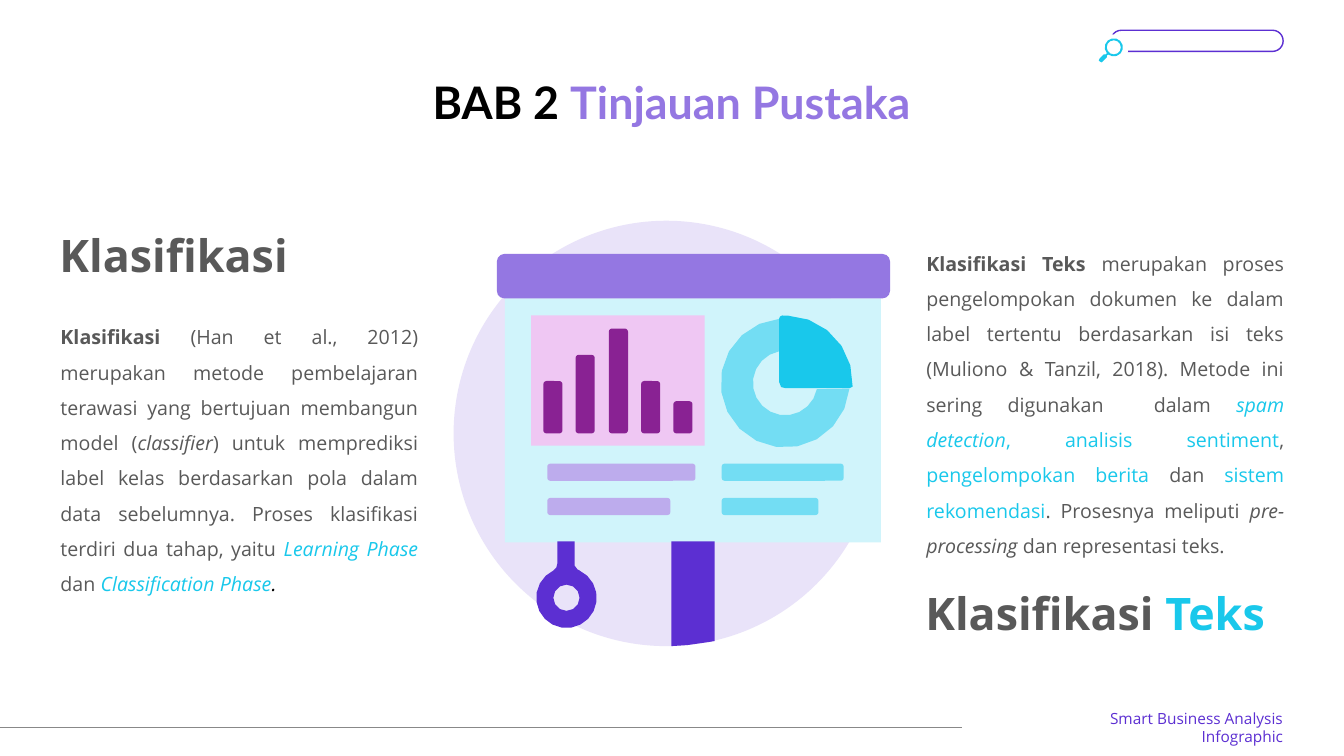
from math import cos, radians, sin

from lxml import etree
from pptx import Presentation
from pptx.dml.color import RGBColor
from pptx.enum.shapes import MSO_CONNECTOR, MSO_SHAPE
from pptx.enum.text import MSO_ANCHOR, PP_ALIGN
from pptx.oxml.ns import qn
from pptx.util import Pt

PX = 9144
RECT, ROUND, OVAL = MSO_SHAPE.RECTANGLE, MSO_SHAPE.ROUNDED_RECTANGLE, MSO_SHAPE.OVAL
LEFT, CENTER = PP_ALIGN.LEFT, PP_ALIGN.CENTER
RIGHT, BOTH = PP_ALIGN.RIGHT, PP_ALIGN.JUSTIFY
TOP, MIDDLE = MSO_ANCHOR.TOP, MSO_ANCHOR.MIDDLE
STRAIGHT = MSO_CONNECTOR.STRAIGHT
COLORS = {
    "black": "000000", "white": "FFFFFF", "text": "595959", "rule": "888888",
    "cyan": "19C8EB", "sky": "73DDF3", "ice": "D0F4FB",
    "violet": "5C2FD2", "purple": "9477E2", "lilac": "BDACED",
    "mist": "E9E3F9", "pink": "EFC7F3", "plum": "892293",
}

CLASS_TEXT = [
    ("Klasifikasi", "text", "b"),
    (" (Han et al., 2012) merupakan metode pembelajaran terawasi yang "
     "bertujuan membangun model (", "text", ""),
    ("classifier", "text", "i"),
    (") untuk memprediksi label kelas berdasarkan pola dalam data sebelumnya. "
     "Proses klasifikasi terdiri dua tahap, yaitu ", "text", ""),
    ("Learning Phase", "cyan", "i"),
    (" dan ", "text", ""),
    ("Classification Phase", "cyan", "i"),
    (".", "black", "i"),
]
TOPIC_TEXT = [
    ("Klasifikasi Teks ", "text", "b"),
    ("merupakan proses pengelompokan dokumen ke dalam label tertentu "
     "berdasarkan isi teks (Muliono & Tanzil, 2018). Metode ini sering "
     "digunakan  dalam ", "text", ""),
    ("spam detection", "cyan", "i"),
    (", analisis sentiment", "cyan", ""),
    (", ", "text", ""),
    ("pengelompokan berita", "cyan", ""),
    (" dan ", "text", ""),
    ("sistem rekomendasi", "cyan", ""),
    (". Prosesnya meliputi ", "text", ""),
    ("pre-processing", "text", "i"),
    (" dan representasi teks.", "text", ""),
]


def color(name):
    """Return the palette colour of that name."""
    return RGBColor.from_string(COLORS[name])


def paint(shape, fill):
    """Give a shape a plain fill with no line or shadow."""
    shape.shadow.inherit = False
    shape.fill.solid()
    shape.fill.fore_color.rgb = color(fill)
    shape.line.fill.background()


def block(slide, kind, x, y, w, h, fill, round_by=0.167):
    """Add a filled preset shape."""
    shape = slide.shapes.add_shape(kind, x * PX, y * PX, w * PX, h * PX)
    if kind == ROUND:
        shape.adjustments[0] = round_by
    paint(shape, fill)
    return shape


def arc(x, y, r, start, end):
    """Return points along an arc, with angles in degrees clockwise."""
    steps = round(abs(end - start) / (18 if r > 20 else 30))
    turns = [radians(start + (end - start) * i / steps) for i in range(steps + 1)]
    return [(x + r * cos(a), y + r * sin(a)) for a in turns]


def outline(slide, x, y, fill, *loops):
    """Add one filled freeform made of closed loops offset by x, y."""
    loops = [[((x + a) * PX, (y + b) * PX) for a, b in loop] for loop in loops]
    pen = slide.shapes.build_freeform(*loops[0][0], scale=1.0)
    pen.add_line_segments(loops[0][1:], close=True)
    for loop in loops[1:]:
        pen.move_to(*loop[0])
        pen.add_line_segments(loop[1:], close=True)
    paint(pen.convert_to_shape(), fill)


def write(slide, box, runs, size, font="Open Sans", align=LEFT, space=None,
          pad=0, anchor=TOP):
    """Add a wrapped text box with one paragraph of styled runs."""
    frame = slide.shapes.add_textbox(*[v * PX for v in box]).text_frame
    frame.word_wrap = True
    frame.vertical_anchor = anchor
    frame.margin_left = frame.margin_right = 0
    frame.margin_top = frame.margin_bottom = pad * PX
    para = frame.paragraphs[0]
    para.alignment = align
    para.line_spacing = space
    for text, tint, style in runs:
        run = para.add_run()
        run.text = text
        run.font.name = font
        run.font.size = Pt(size)
        run.font.bold = "b" in style
        run.font.italic = "i" in style
        run.font.color.rgb = color(tint)


def column(slide, x, w, head, head_y, body, body_y, body_h):
    """Place a heading and a justified text in one column."""
    write(slide, (x, head_y, w, 54), head, 32)
    write(slide, (x + 1, body_y, w, body_h), body, 14, align=BOTH, space=1.5, pad=5)


def board(slide, x, y):
    """Draw the presentation board on its disc."""
    block(slide, OVAL, x, y, 422, 422, "mist")
    block(slide, RECT, x + 51, y + 77, 373, 242, "ice")
    block(slide, ROUND, x + 43, y + 33, 390, 44, "purple")
    cord = [(103, 318), (120, 318), (120, 342), (123, 346)]
    cord += arc(112, 374, 30, -65, 245) + [(102, 344), (103, 340)]
    outline(slide, x, y, "violet", cord, arc(112, 374, 13, 360, 30))
    outline(slide, x, y, "violet", [(216, 318), (259, 318), (259, 417),
                                    (253, 418), (232, 421), (216, 422)])
    bars(slide, x + 77, y + 94)
    pie(slide, x + 329, y + 161)
    for left, top, w, fill in ((93, 241, 147, "lilac"), (266, 241, 121, "sky"),
                               (93, 275, 122, "lilac"), (266, 275, 96, "sky")):
        block(slide, ROUND, x + left, y + top, w, 17, fill)


def bars(slide, x, y):
    """Draw the panel with five standing bars."""
    block(slide, RECT, x, y, 172, 129, "pink")
    for i, h in enumerate((52, 78, 104, 52, 32)):
        block(slide, ROUND, x + 12 + (129 * i + 2) // 4, y + 117 - h, 19, h, "plum")


def pie(slide, x, y):
    """Draw the open ring and its raised quarter around a centre."""
    outline(slide, x, y, "sky", arc(0, 0, 64, 5, 265) + arc(0, 0, 32, 259, 11))
    outline(slide, x, y, "cyan", arc(0, 0, 67, -88, 3) + [
        (64, 5), (0, 5), (-4, 4), (-6, -1), (-6, -64), (-5, -66), (-3, -67)])


def search(slide, x, y):
    """Draw the search field and its magnifier."""
    field = block(slide, ROUND, x + 15, y, 171, 21, "white", 0.5)
    field.fill.background()
    field.line.color.rgb = color("violet")
    field.line.width = Pt(1)
    block(slide, OVAL, x, y + 4, 32, 32, "white")
    grip = [(13, 24), (11, 25), (11, 27), (7, 31), (6, 32), (4, 31),
            (3, 30), (4, 28), (8, 24), (10, 24), (11, 23)]
    outline(slide, x, y, "cyan", arc(18, 17, 9, 140, 490) + grip,
            arc(18, 17, 7, 360, 30))


def footer(slide, y):
    """Place the rule and the deck name at the foot."""
    write(slide, (1018, y - 10, 255, 19),
          [("Smart Business Analysis Infographic", "violet", "")],
          11, align=RIGHT, anchor=MIDDLE)
    rule = slide.shapes.add_connector(STRAIGHT, 0, y * PX, 954 * PX, y * PX)
    rule.line.color.rgb = color("rule")
    rule.line.width = Pt(0.75)
    etree.SubElement(rule._element.spPr, qn("a:effectLst"))


def main():
    """Build the slide and save it."""
    deck = Presentation()
    deck.slide_width, deck.slide_height = 4000 * PX // 3, 750 * PX
    slide = deck.slides.add_slide(deck.slide_layouts[6])
    column(slide, 59, 355, [("Klasifikasi", "text", "b")], 226, CLASS_TEXT, 306, 289)
    column(slide, 918, 355, [("Klasifikasi ", "text", "b"), ("Teks", "cyan", "b")],
           581, TOPIC_TEXT, 233, 324)
    board(slide, 450, 219)
    write(slide, (60, 80, 1213, 81),
          [("BAB 2 ", "black", "b"), ("Tinjauan Pustaka", "purple", "b")],
          32, "Lato", CENTER, 0.9)
    footer(slide, 722)
    search(slide, 1087, 30)
    deck.save("out.pptx")


if __name__ == "__main__":
    main()
